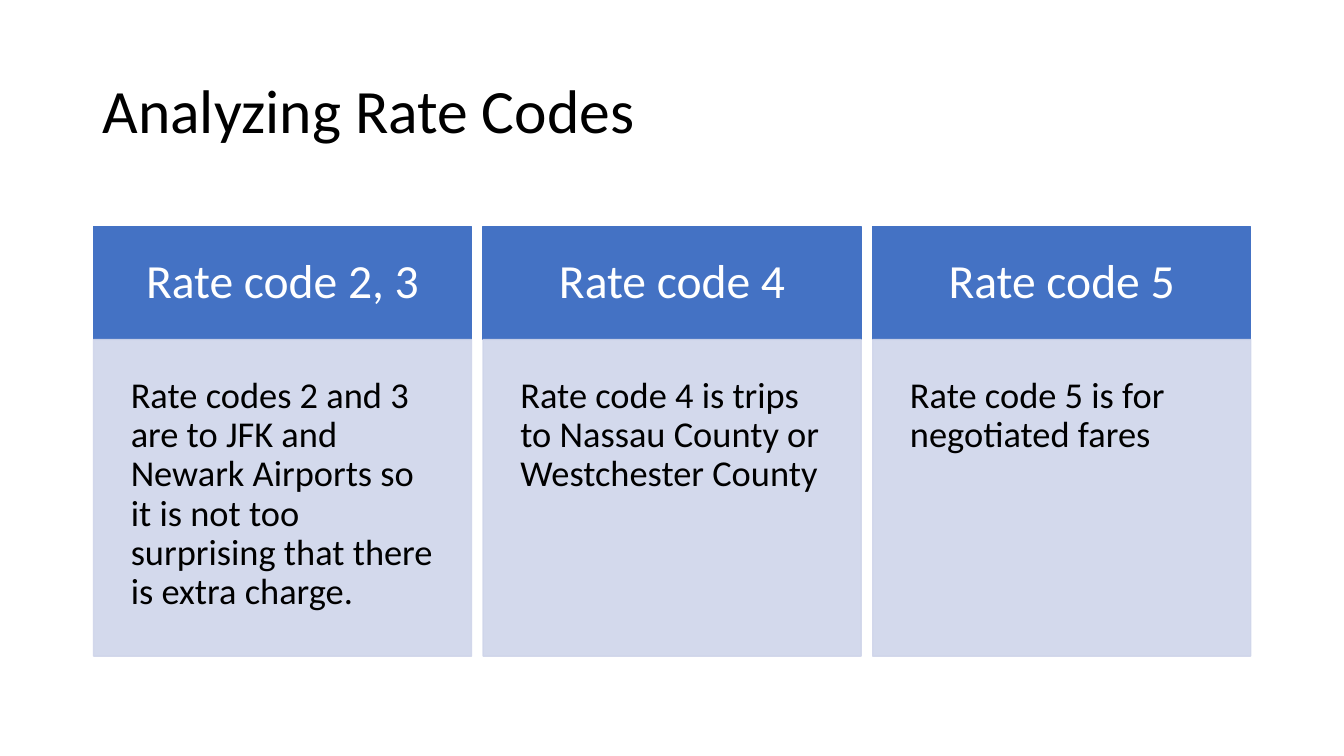
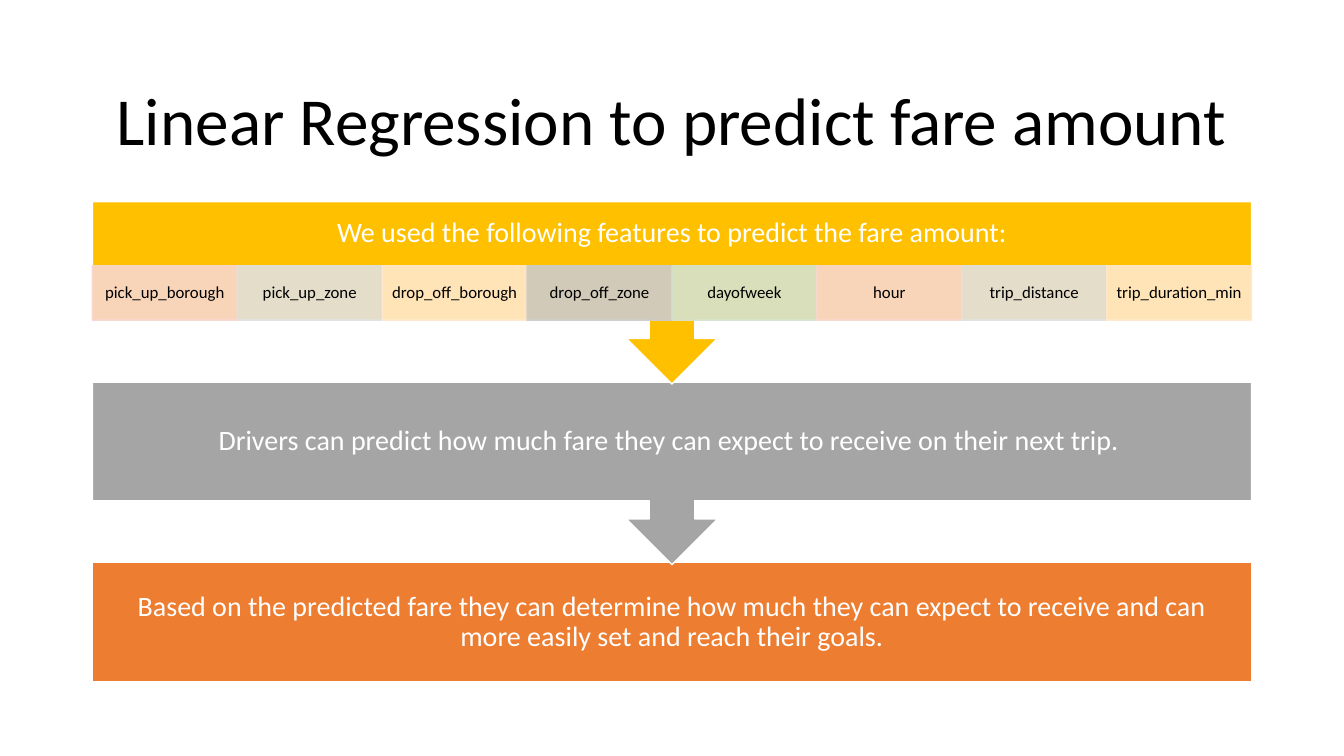
from dataclasses import dataclass

from lxml.etree import SubElement
from pptx import Presentation
from pptx.dml.color import RGBColor
from pptx.enum.shapes import MSO_SHAPE as SHAPE
from pptx.enum.text import MSO_ANCHOR as ANCHOR, MSO_AUTO_SIZE as AUTO, PP_ALIGN as ALIGN
from pptx.oxml.ns import qn
from pptx.util import Pt

FONT = "Calibri"
LEFT, WIDTH = 66, 828
COLORS = {
    "black": "000000",
    "white": "FFFFFF",
    "blue": "4472C4",
    "pale_blue": "CFD5EA",
    "gold": "FFC000",
    "gray": "A5A5A5",
    "orange": "ED7D31",
    "pale_orange": "F8D7CE",
    "pale_gray": "E1E1E1",
    "pale_gold": "FFE8CC",
    "mid_gray": "CCCCCC",
    "pale_green": "D5E3CF",
}


@dataclass(frozen=True)
class RateCard:
    heading: str
    body: str


@dataclass(frozen=True)
class Step:
    text: str
    color: str
    kind: SHAPE
    height: float
    bottom_inset: float = 11.5


@dataclass(frozen=True)
class Feature:
    name: str
    color: str


CARDS = [
    RateCard("Rate code 2, 3",
             "Rate codes 2 and 3 are to JFK and Newark Airports so it is not too "
             "surprising that there is extra charge."),
    RateCard("Rate code 4", "Rate code 4 is trips to Nassau County or Westchester County"),
    RateCard("Rate code 5", "Rate code 5 is for negotiated fares"),
]

STEPS = [
    Step("We used the following features to predict the fare amount:",
         "gold", SHAPE.DOWN_ARROW_CALLOUT, 130.3, 51),
    Step("Drivers can predict how much fare they can expect to receive on their next trip. ",
         "gray", SHAPE.DOWN_ARROW_CALLOUT, 130.3),
    Step("Based on the predicted fare they can determine how much they can expect to receive "
         "and can more easily set and reach their goals.",
         "orange", SHAPE.RECTANGLE, 84.7),
]

FEATURES = [
    Feature("pick_up_borough", "pale_orange"),
    Feature("pick_up_zone", "pale_gray"),
    Feature("drop_off_borough", "pale_gold"),
    Feature("drop_off_zone", "mid_gray"),
    Feature("dayofweek", "pale_green"),
    Feature("hour", "pale_orange"),
    Feature("trip_distance", "pale_gray"),
    Feature("trip_duration_min", "pale_gold"),
]


def rgb(name: str) -> RGBColor:
    return RGBColor.from_string(COLORS[name])


def write(tf, text: str, *, size: float, color: str = "black",
          align=ALIGN.CENTER, anchor=ANCHOR.MIDDLE) -> None:
    tf.word_wrap = True
    tf.auto_size = AUTO.NONE
    tf.vertical_anchor = anchor
    p = tf.paragraphs[0]
    p.alignment = align
    p.line_spacing = 0.9
    r = p.add_run()
    r.text = text
    r.font.name = FONT
    r.font.size = Pt(size)
    r.font.color.rgb = rgb(color)


def add_box(s, kind, box: tuple, text: str, *, fill: str, line: str,
            insets: tuple, alpha: int = 100, **text_format) -> None:
    sp = s.shapes.add_shape(kind, *map(Pt, box))
    sp.shadow.inherit = False
    sp.fill.solid()
    sp.fill.fore_color.rgb = rgb(fill)
    sp.line.color.rgb = rgb(line)
    sp.line.width = Pt(1)
    if alpha < 100:
        for clr in sp._element.spPr.iter(qn("a:srgbClr")):
            SubElement(clr, qn("a:alpha")).set("val", str(alpha * 1000))
    tf = sp.text_frame
    tf.margin_left, tf.margin_top, tf.margin_right, tf.margin_bottom = map(Pt, insets)
    write(tf, text, **text_format)


def add_titled_slide(prs, title: str, *, top: float, height: float, size: float, align):
    s = prs.slides.add_slide(prs.slide_layouts[5])
    sp = s.shapes.title
    sp.left, sp.top, sp.width, sp.height = map(Pt, (LEFT, top, WIDTH, height))
    write(sp.text_frame, title, size=size, align=align)
    return s


def build_rate_codes(prs) -> None:
    s = add_titled_slide(prs, "Analyzing Rate Codes", top=28.8, height=104.4,
                         size=44, align=ALIGN.LEFT)
    top, head_h, body_h, card_w, pitch = 162, 80.6, 226.1, 270, 278.3
    for i, card in enumerate(CARDS):
        x = LEFT + 0.8 + i * pitch
        add_box(s, SHAPE.RECTANGLE, (x, top, card_w, head_h), card.heading,
                fill="blue", line="blue", insets=(21.6,) * 4, size=34, color="white")
        add_box(s, SHAPE.RECTANGLE, (x, top + head_h, card_w, body_h), card.body,
                fill="pale_blue", line="pale_blue", alpha=90, insets=(26.6,) * 4,
                size=26, align=ALIGN.LEFT, anchor=ANCHOR.TOP)


def build_regression(prs) -> None:
    s = add_titled_slide(prs, "Linear Regression to predict fare amount", top=43.9,
                         height=89.3, size=48, align=ALIGN.CENTER)
    top, pitch = 144, 129
    for i, step in reversed(list(enumerate(STEPS))):
        add_box(s, step.kind, (LEFT, top + i * pitch, WIDTH, step.height), step.text,
                fill=step.color, line="white",
                insets=(11.5, 11.5, 11.5, step.bottom_inset), size=20, color="white")
    cell_w = WIDTH / len(FEATURES)
    for i, feature in enumerate(FEATURES):
        add_box(s, SHAPE.RECTANGLE, (LEFT + i * cell_w, 189.8, cell_w, 39), feature.name,
                fill=feature.color, line=feature.color, alpha=90,
                insets=(6.5, 1.5, 6.5, 1.5), size=12)


def main() -> None:
    prs = Presentation()
    prs.slide_width, prs.slide_height = Pt(960), Pt(540)
    build_rate_codes(prs)
    build_regression(prs)
    prs.save("out.pptx")


if __name__ == "__main__":
    main()
